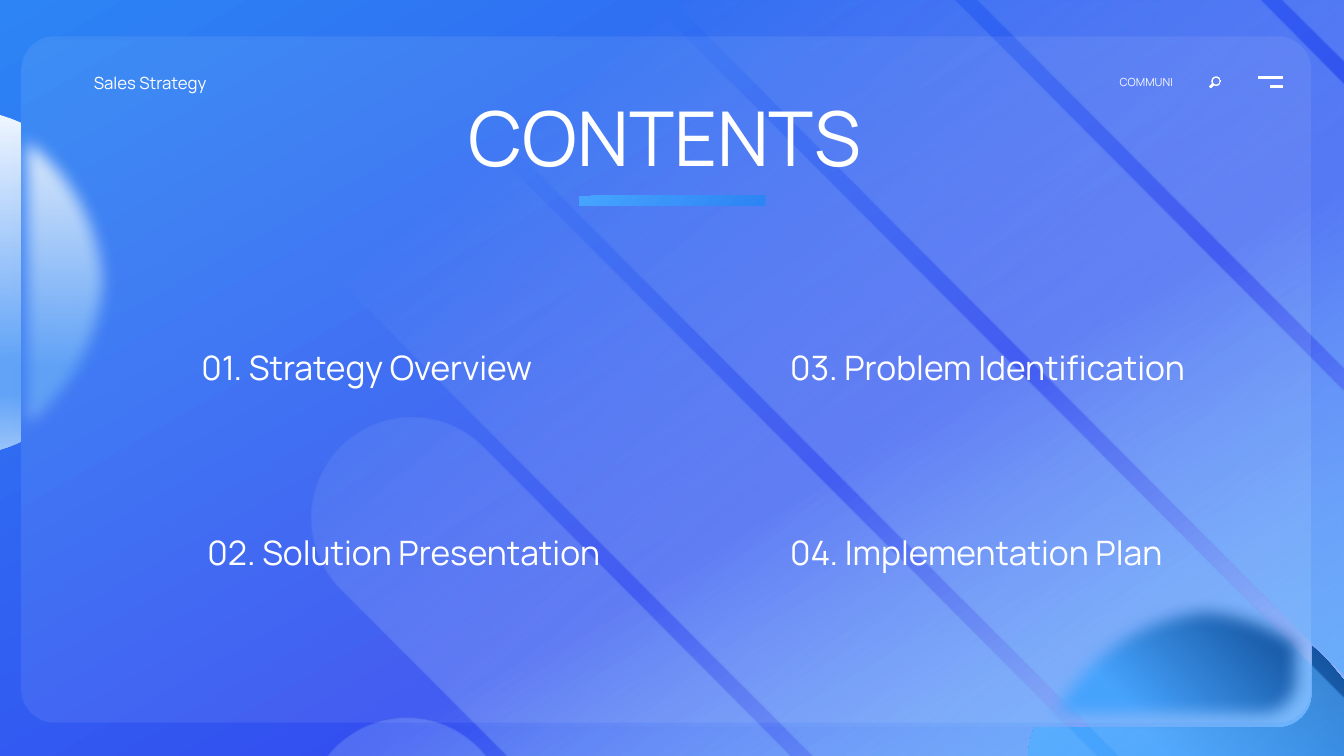
from math import cos, radians, sin

from lxml import etree
from pptx import Presentation
from pptx.dml.color import RGBColor
from pptx.enum.shapes import MSO_CONNECTOR, MSO_SHAPE
from pptx.enum.text import MSO_AUTO_SIZE, PP_ALIGN
from pptx.oxml import parse_xml
from pptx.oxml.ns import nsdecls, qn
from pptx.util import Pt

FONT = "Manrope"
WHITE = "FFFFFF"
WIDTH, HEIGHT = 960, 540

LINEAR = '<a:lin ang="{}" scaled="0"/>'
FROM_BOTTOM_LEFT = '<a:path path="circle"><a:fillToRect t="100000" r="100000"/></a:path>'

# Gradients: stops of (position %, colour, opacity %), then direction
BACKDROP = ([(0, "2D84F4", 100), (63, "334FF0", 100), (100, "96C2FA", 100)], 60)
PALE_DISC = ([(0, "EEF5FE", 100), (74, "62A3F7", 100),
              (83, "62A3F7", 100), (100, "96C2FA", 100)], 90)
DEEP_DISC = ([(30, "47A4FE", 100), (100, "073F87", 100)], None)
BANDS = ([(19, WHITE, 0), (100, "47A4FE", 60)], 50)
ACCENT = ([(0, "47A4FE", 100), (100, "2D84F4", 100)], 40)
GLASS = ([(0, WHITE, 8), (100, WHITE, 8)], 0)
SOLID_WHITE = ([(0, WHITE, 100), (100, WHITE, 100)], 0)

# Outlines: pairs are corners, six numbers are a Bézier curve
LEFT_DISC = [(0, 82.1), (51.1, 97.9, 87.8, 145.4, 87.8, 201.6),
             (87.8, 257.8, 51.1, 305.3, 0, 321.1)]
LEFT_BLUR = [(7.2, 76.3), (9.4, 77.8), (54.7, 97.9, 85.7, 146.2, 85.7, 201.6),
             (85.7, 257.8, 54.7, 305.3, 9.4, 325.4), (7.2, 326.9)]
CORNER_DISC = [(857.5, 432.7), (896.4, 432.7, 931.7, 450.7, 954, 478.8),
               (960, 486), (960, 540), (734.4, 540), (735.1, 532.8),
               (746.6, 475.9, 797.8, 432.7, 857.5, 432.7)]
CORNER_BLUR = [(860.4, 425.5), (887.8, 425.5, 913.7, 433.4, 934.6, 447.8),
               (936.7, 450), (936.7, 496.8), (936.7, 510.5, 925.9, 521.3, 913, 521.3),
               (733.7, 521.3), (734.4, 518.4),
               (751, 464.4, 801.4, 425.5, 860.4, 425.5)]

TOPICS = [
    ("01. Strategy Overview", 136.8, 229.7),
    ("03. Problem Identification", 557.3, 229.7),
    ("02. Solution Presentation", 141.1, 362.2),
    ("04. Implementation Plan", 557.3, 362.2),
]


def color(hex_string):
    return RGBColor.from_string(hex_string)


def paint(fill, element, gradient):
    """Put a gradient on a shape or on the slide background."""
    stops, angle = gradient
    gs = "".join(
        f'<a:gs pos="{pos * 1000}"><a:srgbClr val="{c}">'
        f'<a:alpha val="{alpha * 1000}"/></a:srgbClr></a:gs>'
        for pos, c, alpha in stops)
    way = FROM_BOTTOM_LEFT if angle is None else LINEAR.format(angle * 60000)
    fill.background()
    blank = element.find(".//" + qn("a:noFill"))
    blank.getparent().replace(blank, parse_xml(
        f'<a:gradFill {nsdecls("a")} rotWithShape="1">'
        f'<a:gsLst>{gs}</a:gsLst>{way}</a:gradFill>'))


def finish(sp, gradient, soft_edge=0):
    sp.shadow.inherit = False
    paint(sp.fill, sp.element, gradient)
    sp.line.fill.background()
    if soft_edge:
        effects = sp.element.spPr.find(qn("a:effectLst"))
        etree.SubElement(effects, qn("a:softEdge"), rad=str(Pt(soft_edge)))


def arc(cx, cy, radius, start=0, end=360, steps=48):
    angles = [radians(start + (end - start) * i / steps) for i in range(steps + 1)]
    return [(cx + radius * cos(a), cy + radius * sin(a)) for a in angles]


def flatten(outline, steps=24):
    """Turn the curves of an outline into short straight pieces."""
    points = [outline[0]]
    for part in outline[1:]:
        if len(part) == 2:
            points.append(part)
            continue
        x0, y0 = points[-1]
        x1, y1, x2, y2, x3, y3 = part
        for i in range(1, steps + 1):
            t = i / steps
            u = 1 - t
            k = (u ** 3, 3 * u * u * t, 3 * u * t * t, t ** 3)
            points.append((k[0] * x0 + k[1] * x1 + k[2] * x2 + k[3] * x3,
                           k[0] * y0 + k[1] * y1 + k[2] * y2 + k[3] * y3))
    return points


def add_outline(slide, outlines, gradient, soft_edge=0):
    contours = [[(Pt(x), Pt(y)) for x, y in flatten(o)] for o in outlines]
    builder = slide.shapes.build_freeform(*contours[0][0])
    builder.add_line_segments(contours[0][1:], close=True)
    for first, *rest in contours[1:]:
        builder.move_to(*first)
        builder.add_line_segments(rest, close=True)
    finish(builder.convert_to_shape(), gradient, soft_edge)


def add_block(slide, kind, left, top, width, height, gradient, rounding=None):
    sp = slide.shapes.add_shape(kind, Pt(left), Pt(top), Pt(width), Pt(height))
    if rounding is not None:
        sp.adjustments[0] = rounding
    finish(sp, gradient)


def add_bands(slide):
    """Diagonal bands with round upper ends, cut off at the slide edges."""
    add_outline(slide, [
        arc(291.2, 584.6, 72, 218.3, 321.7),
        arc(294.9, 370.1, 72, 135, 315) + [(565.2, 540), (362.9, 540)],
        arc(300.4, 156.8, 72, 135, 315) + [(784, 540), (581, 540)],
        [(915.1, 0), (960, 0), (960, 44.6)],
        [(697.7, 0), (900, 0), (960, 60.5), (960, 263.5)],
        [(479.5, 0), (681.8, 0), (960, 279.4), (960, 482.4)],
        [(260.6, 0), (463.7, 0), (960, 498.2), (960, 540), (799.2, 540)],
    ], BANDS)


def add_search_icon(slide):
    handle = [(865.6, 59.7), (867, 61.1), (864.9, 63.2), (863.5, 61.8)]
    lens = (868.7, 58)
    add_outline(slide, [arc(*lens, 3.4), arc(*lens, 2.4), handle], SOLID_WHITE)


def add_menu_line(slide, left, right, y):
    line = slide.shapes.add_connector(
        MSO_CONNECTOR.STRAIGHT, Pt(right), Pt(y), Pt(left), Pt(y))
    line.line.color.rgb = color(WHITE)
    line.line.width = Pt(1.75)
    etree.SubElement(line.element.spPr, qn("a:effectLst"))


def add_text(slide, text, left, top, width, height, size, hex_string=WHITE,
             align=PP_ALIGN.LEFT, spacing=1.0, inset=True, grow=True):
    box = slide.shapes.add_textbox(Pt(left), Pt(top), Pt(width), Pt(height))
    tf = box.text_frame
    tf.word_wrap = True
    if grow:
        tf.auto_size = MSO_AUTO_SIZE.SHAPE_TO_FIT_TEXT
    if not inset:
        tf.margin_left = tf.margin_right = tf.margin_top = tf.margin_bottom = 0
    p = tf.paragraphs[0]
    p.text = text
    p.alignment = align
    p.line_spacing = spacing
    p.font.name = FONT
    p.font.size = Pt(size)
    p.font.color.rgb = color(hex_string)


def main():
    prs = Presentation()
    prs.slide_width, prs.slide_height = Pt(WIDTH), Pt(HEIGHT)
    slide = prs.slides.add_slide(prs.slide_layouts[6])
    paint(slide.background.fill, slide.element, BACKDROP)

    add_outline(slide, [LEFT_DISC], PALE_DISC)
    add_outline(slide, [CORNER_DISC], DEEP_DISC)
    panel = MSO_SHAPE.ROUNDED_RECTANGLE
    add_block(slide, panel, 15.1, 28.8, 921.6, 490.3, BACKDROP, 0.049)
    add_bands(slide)
    add_block(slide, panel, 15.1, 25.9, 921.6, 490.3, GLASS, 0.049)
    add_outline(slide, [CORNER_BLUR], DEEP_DISC, soft_edge=12)
    add_outline(slide, [LEFT_BLUR], PALE_DISC, soft_edge=12)

    add_menu_line(slide, 898.6, 916.6, 55.4)
    add_menu_line(slide, 907.2, 916.6, 61.9)
    add_search_icon(slide)
    add_text(slide, "COMMUNI", 792.7, 50.4, 72.7, 17.3, 8, "F8FAFF")
    add_text(slide, "Sales Strategy", 67, 51.8, 452.2, 14.4, 12, inset=False)
    add_text(slide, "CONTENTS ", 176.4, 61.2, 607.7, 72.7, 54, align=PP_ALIGN.CENTER)
    for topic, left, top in TOPICS:
        add_text(slide, topic, left, top, 385, 59.8, 24, spacing=1.5, grow=False)
    add_block(slide, MSO_SHAPE.RECTANGLE, 413.3, 139.7, 133.2, 7.2, ACCENT)

    prs.save("out.pptx")


if __name__ == "__main__":
    main()
